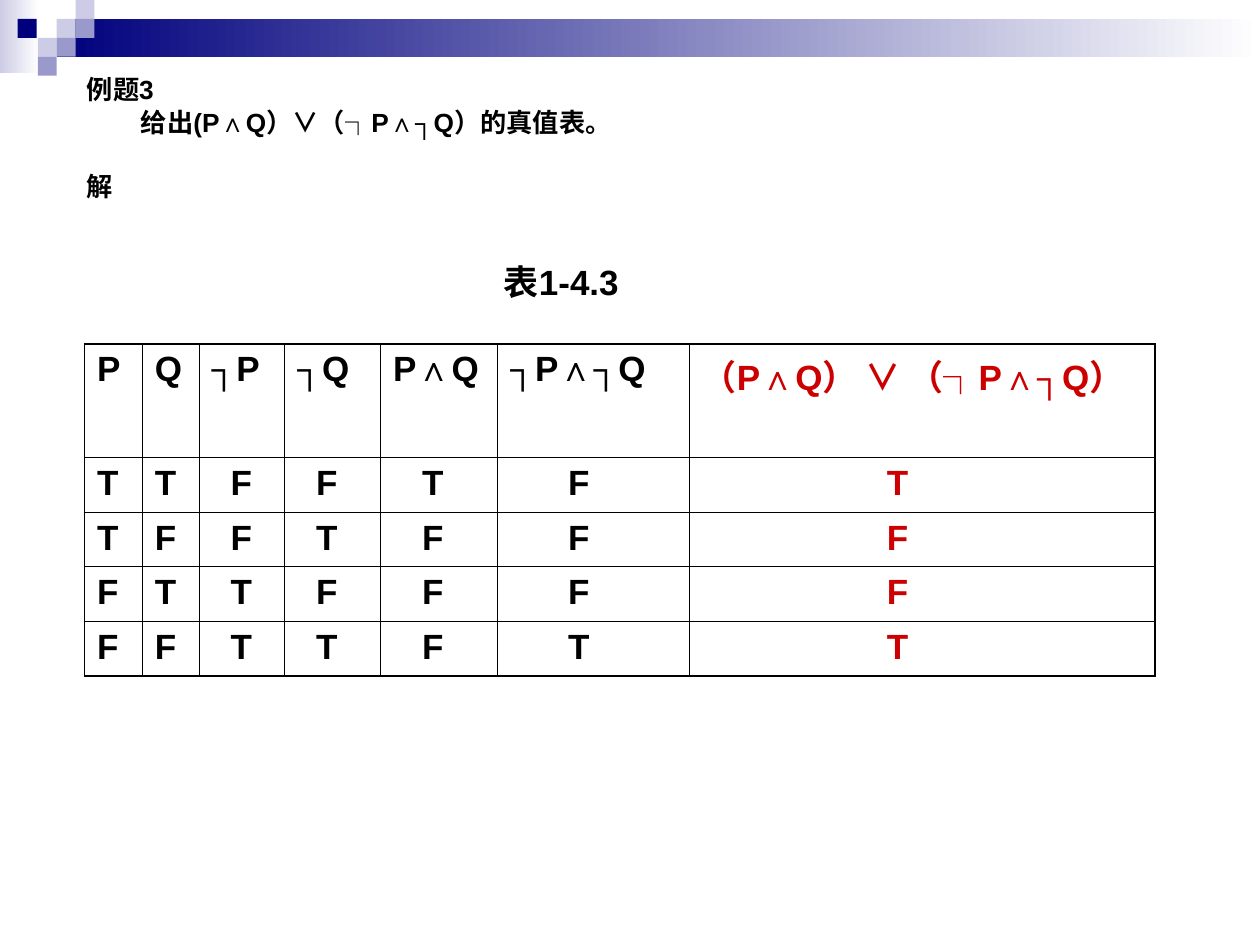
from lxml import etree
from pptx import Presentation, util as u
from pptx.dml.color import RGBColor
from pptx.enum import shapes
from pptx.oxml import ns

NAVY, LAVENDER, PERIWINKLE = "00007D", "CCCCE6", "9999CC"
WHITE, BLACK, RED = "FFFFFF", "000000", "CC0000"


def paint(fill, *colors):
    """One colour gives a solid fill, two a left-to-right gradient."""
    if len(colors) == 1:
        fill.solid()
        fill.fore_color.rgb = RGBColor.from_string(colors[0])
        return
    fill.gradient()
    fill.gradient_angle = 0
    for stop, color in zip(fill.gradient_stops, colors):
        stop.color.rgb = RGBColor.from_string(color)


def write(paragraph, text, size=20, color=BLACK, indent=0, before=0, spacing=None):
    properties = paragraph._p.get_or_add_pPr()
    properties.set("marL", str(u.Inches(indent)))
    properties.set("indent", "0")
    paragraph.space_before = u.Pt(before)
    if spacing:
        paragraph.line_spacing = spacing
    run = paragraph.add_run()
    run.text = text
    run.font.name = "Arial"
    run.font.size = u.Pt(size)
    run.font.bold = True
    paint(run.font.fill, color)


deck = Presentation()
deck.slide_width, deck.slide_height = u.Inches(10), u.Inches(7.5)
slide = deck.slides.add_slide(deck.slide_layouts[6])

# Banner: two gradient bars, then the small squares
banner = [
    (0, 0, 0.31, 0.58, LAVENDER, WHITE),
    (0.45, 0.15, 9.55, 0.3, NAVY, WHITE),
]
squares = [
    (0.45, 0.15, LAVENDER), (0.6, 0, LAVENDER), (0.6, 0.15, PERIWINKLE),
    (0.3, 0.3, LAVENDER), (0.14, 0.15, NAVY), (0.45, 0.3, PERIWINKLE),
    (0.3, 0.45, PERIWINKLE),
]
banner += [(left, top, 0.15, 0.15, color) for left, top, color in squares]
for left, top, width, height, *colors in banner:
    block = slide.shapes.add_shape(
        shapes.MSO_SHAPE.RECTANGLE,
        u.Inches(left), u.Inches(top), u.Inches(width), u.Inches(height))
    block.shadow.inherit = False
    block.line.fill.background()
    paint(block.fill, *colors)

# Exercise
exercise = slide.shapes.add_textbox(
    u.Inches(0.59), u.Inches(0.6), u.Inches(9.15), u.Inches(1.42)).text_frame
exercise.word_wrap = True
write(exercise.paragraphs[0], "例题3", size=15, spacing=0.7)
write(exercise.add_paragraph(), "给出(P∧Q）∨（┐P∧┐Q）的真值表。",
      size=15, indent=0.43, before=6, spacing=0.7)
write(exercise.add_paragraph(), "解", size=15, before=24.5, spacing=0.7)

# Truth table
header = ["P", "Q", "┐P", "┐Q", "P∧Q", "┐P∧┐Q", "（P∧Q） ∨ （┐P∧┐Q）"]
truth_rows = ["TTFFTFT", "TFFTFFF", "FTTFFFF", "FFTTFTT"]
column_widths = [0.46, 0.45, 0.68, 0.76, 0.93, 1.52, 3.7]
value_indents = [0, 0, 0.15, 0.15, 0.23, 0.46, 1.47]
# The header row holds two lines of the last formula
row_heights = [0.9] + [0.43] * len(truth_rows)
last_row, last_column = len(truth_rows), len(header) - 1

truth_table = slide.shapes.add_table(
    len(row_heights), len(header), u.Inches(0.67), u.Inches(2.73),
    u.Inches(sum(column_widths)), u.Inches(sum(row_heights))).table
truth_table.first_row = truth_table.horz_banding = False
for column, width in zip(truth_table.columns, column_widths):
    column.width = u.Inches(width)
for row, height in zip(truth_table.rows, row_heights):
    row.height = u.Inches(height)

for r, values in enumerate([header, *truth_rows]):
    for c, value in enumerate(values):
        cell = truth_table.cell(r, c)
        write(cell.text_frame.paragraphs[0], value,
              color=RED if c == last_column else BLACK,
              indent=value_indents[c] if r else 0)
        # Heavier lines around the outside of the table
        outer_edges = {"lnL": c == 0, "lnR": c == last_column,
                       "lnT": r == 0, "lnB": r == last_row}
        cell_format = cell._tc.get_or_add_tcPr()
        for edge, is_outer in outer_edges.items():
            border = etree.SubElement(cell_format, ns.qn(f"a:{edge}"),
                                      w=str(u.Pt(1.08 if is_outer else 0.45)))
            line_fill = etree.SubElement(border, ns.qn("a:solidFill"))
            etree.SubElement(line_fill, ns.qn("a:srgbClr"), val=BLACK)
        cell.fill.background()

# Table caption
caption = slide.shapes.add_textbox(
    u.Inches(3.9), u.Inches(2.02), u.Inches(3.62), u.Inches(0.44)).text_frame
caption.word_wrap = True
write(caption.paragraphs[0], "表1-4.3")

deck.save("out.pptx")
